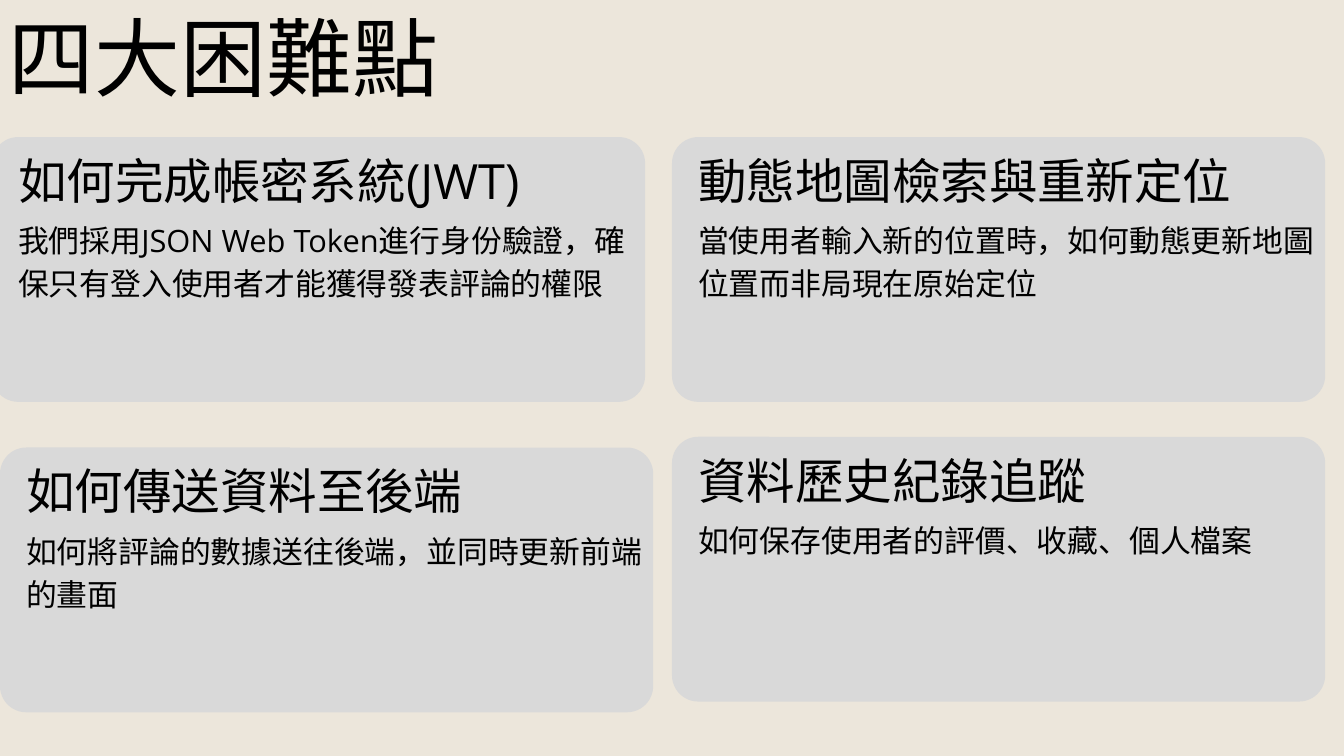
import pptx
import pptx.util
import pptx.dml.color
import pptx.enum.shapes
import pptx.enum.text

Inches = pptx.util.Inches
Pt = pptx.util.Pt
RGBColor = pptx.dml.color.RGBColor
ALIGN = pptx.enum.text.PP_ALIGN

SAND = RGBColor(0xEC, 0xE6, 0xDB)
GREY = RGBColor(0xD9, 0xD9, 0xD9)
BLACK = RGBColor(0, 0, 0)

FRAME = {
    "margin_left": 0, "margin_right": 0, "margin_top": 0, "margin_bottom": 0,
    "word_wrap": True,
    "vertical_anchor": pptx.enum.text.MSO_ANCHOR.TOP,
    "auto_size": pptx.enum.text.MSO_AUTO_SIZE.SHAPE_TO_FIT_TEXT,
}
TITLE = {"size": 92, "line": 128.8, "align": ALIGN.CENTER}
HEAD = {"size": 52, "line": 72.8, "align": ALIGN.LEFT}
BODY = {"size": 33, "line": 46.2, "align": ALIGN.LEFT}

WIDTH, HEIGHT, INSET = 9.72, 3.94, 0.39
CARDS = [
    (-0.12, 2.04, "如何完成帳密系統(JWT)",
     "我們採用JSON Web Token進行身份驗證，確保只有登入使用者才能獲得發表評論的權限", 1.25),
    (10, 2.04, "動態地圖檢索與重新定位",
     "當使用者輸入新的位置時，如何動態更新地圖位置而非局現在原始定位", 1.25),
    (0, 6.66, "如何傳送資料至後端",
     "如何將評論的數據送往後端，並同時更新前端的畫面", 1.25),
    (10, 6.5, "資料歷史紀錄追蹤",
     "如何保存使用者的評價、收藏、個人檔案", 0.62),
]


def apply(item, values):
    for name, value in values.items():
        setattr(item, name, value)


def write(shape, text, style):
    frame = shape.text_frame
    apply(frame, FRAME)
    para = frame.paragraphs[0]
    apply(para, {"alignment": style["align"], "line_spacing": Pt(style["line"]),
                 "space_before": Pt(0)})
    run = para.add_run()
    run.text = text
    apply(run.font, {"name": "Open Sans", "size": Pt(style["size"])})
    run.font.color.rgb = BLACK


def add_title(slide, text):
    title = slide.shapes.title
    apply(title, {"left": Inches(0), "top": Inches(-0.19),
                  "width": Inches(6.65), "height": Inches(1.71)})
    write(title, text, TITLE)


def add_text(slide, box, text, style):
    write(slide.shapes.add_textbox(*map(Inches, box)), text, style)


def add_panel(slide, left, top):
    kind = pptx.enum.shapes.MSO_SHAPE.ROUNDED_RECTANGLE
    panel = slide.shapes.add_shape(kind, *map(Inches, (left, top, WIDTH, HEIGHT)))
    panel.adjustments[0] = INSET / HEIGHT
    panel.shadow.inherit = False
    panel.fill.solid()
    panel.fill.fore_color.rgb = GREY
    panel.line.fill.background()


def add_card(slide, left, top, head, body, tall):
    add_panel(slide, left, top)
    start = left + INSET
    add_text(slide, (start, top + 0.06, WIDTH - 2 * INSET, 0.97), head, HEAD)
    add_text(slide, (start, top + 1.17, WIDTH - INSET, tall), body, BODY)


def main():
    deck = pptx.Presentation()
    apply(deck, {"slide_width": Inches(20), "slide_height": Inches(11.25)})
    slide = deck.slides.add_slide(deck.slide_layouts[5])
    slide.background.fill.solid()
    slide.background.fill.fore_color.rgb = SAND
    add_title(slide, "四大困難點")
    for card in CARDS:
        add_card(slide, *card)
    deck.save("out.pptx")


if __name__ == "__main__":
    main()
